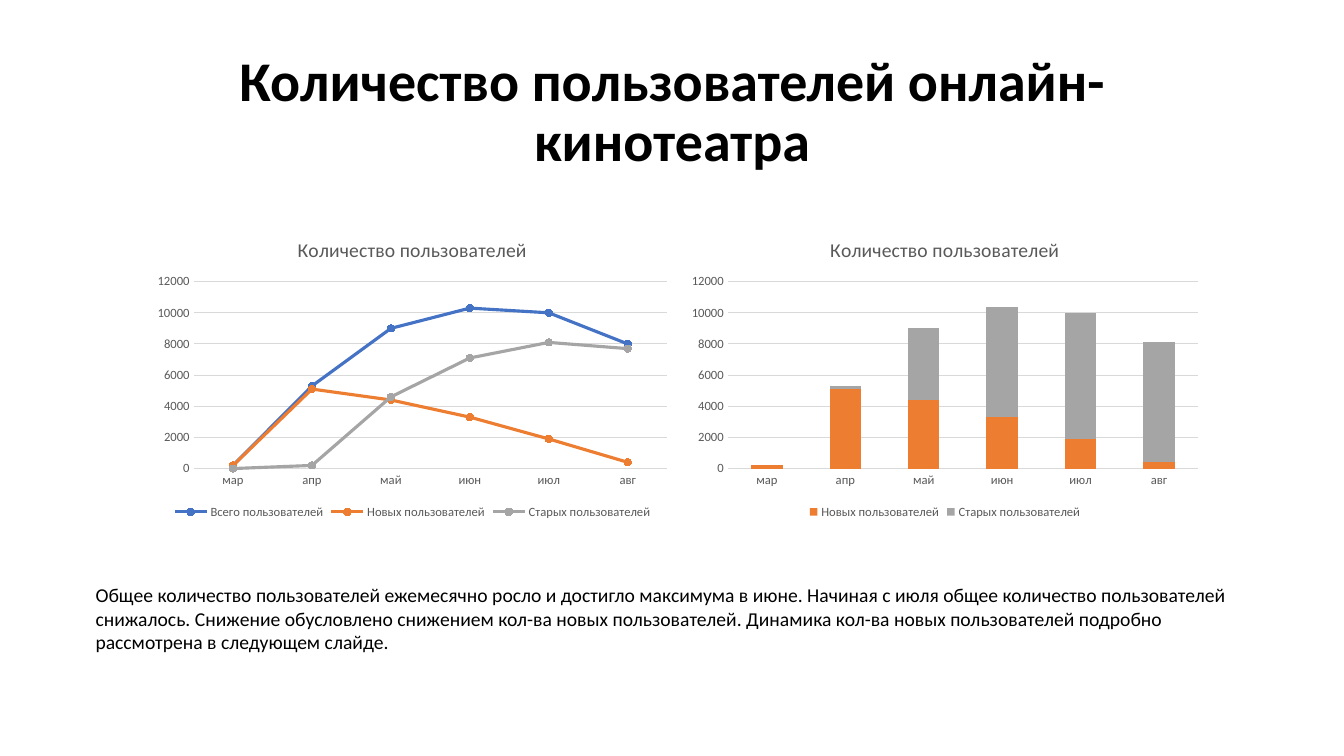
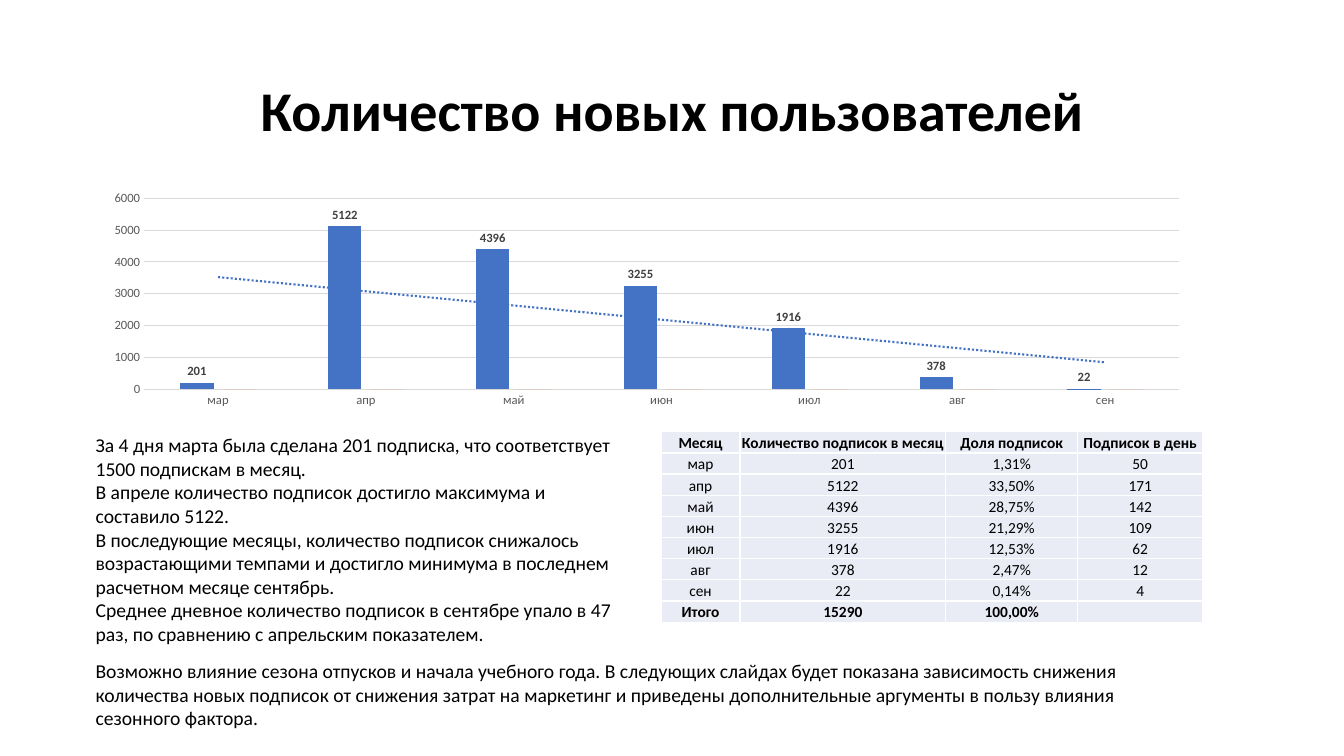
"""Two slides about the audience of an online cinema."""
from dataclasses import dataclass
from typing import Optional, Sequence

from lxml import etree
from pptx import Presentation
from pptx.chart.chart import Chart
from pptx.chart.data import CategoryChartData
from pptx.dml.color import RGBColor
from pptx.enum.chart import (XL_CHART_TYPE, XL_LABEL_POSITION, XL_LEGEND_POSITION,
                             XL_MARKER_STYLE, XL_TICK_MARK)
from pptx.enum.text import MSO_ANCHOR, MSO_AUTO_SIZE, PP_ALIGN
from pptx.oxml.ns import qn
from pptx.slide import Slide
from pptx.table import _Cell
from pptx.text.text import Font
from pptx.util import Emu, Inches, Pt

LINES = XL_CHART_TYPE.LINE_MARKERS
STACKED = XL_CHART_TYPE.COLUMN_STACKED
CLUSTERED = XL_CHART_TYPE.COLUMN_CLUSTERED
LABEL_ABOVE = XL_LABEL_POSITION.OUTSIDE_END
LEGEND_BELOW = XL_LEGEND_POSITION.BOTTOM
CIRCLE = XL_MARKER_STYLE.CIRCLE
NO_TICK = XL_TICK_MARK.NONE
MIDDLE, BOTTOM = MSO_ANCHOR.MIDDLE, MSO_ANCHOR.BOTTOM
NO_FIT, GROW = MSO_AUTO_SIZE.NONE, MSO_AUTO_SIZE.SHAPE_TO_FIT_TEXT
CENTER = PP_ALIGN.CENTER

FONT = "Calibri"
BLACK, WHITE = "000000", "FFFFFF"
BLUE, ORANGE, GRAY = "4472C4", "ED7D31", "A5A5A5"
AXIS_TEXT, LABEL_TEXT, GRID_LINE = "595959", "404040", "D9D9D9"
CELL_FILL = "E9EBF5"
TITLE_SIZE, BODY_SIZE, AXIS_SIZE, TABLE_SIZE = 40, 14, 9, 11

# The slide is a grid of 160 columns by 90 rows.
SLIDE_WIDTH, SLIDE_HEIGHT = Inches(13.33), Inches(7.5)
COLUMNS, ROWS = 160, 90


@dataclass(frozen=True)
class Box:
    """A place on the grid, in columns and rows."""
    left: float
    top: float
    width: float
    height: float

    def lengths(self) -> tuple[Emu, Emu, Emu, Emu]:
        """Return left, top, width and height as lengths."""
        return across(self.left), down(self.top), across(self.width), down(self.height)


@dataclass(frozen=True)
class Series:
    """One data series with its colour."""
    name: str
    values: Sequence[int]
    color: str


@dataclass(frozen=True)
class ChartSpec:
    """Everything that differs between the charts."""
    box: Box
    kind: XL_CHART_TYPE
    months: Sequence[str]
    series: Sequence[Series]
    top_value: int
    step: int
    title: Optional[str] = None
    gap: int = 150
    overlap: int = 100


@dataclass(frozen=True)
class TextSpec:
    """A body text box, one string a paragraph."""
    box: Box
    paragraphs: Sequence[str]


MONTHS = ("мар", "апр", "май", "июн", "июл", "авг", "сен")
TITLE_BOX = Box(11, 4.8, 138, 17.4)
TEXT_LEFT = 10.2

TOTAL_USERS = Series("Всего пользователей", (200, 5300, 9000, 10300, 10000, 8000), BLUE)
NEW_USERS = Series("Новых пользователей", (200, 5100, 4400, 3300, 1900, 400), ORANGE)
OLD_USERS = Series("Старых пользователей", (0, 200, 4600, 7100, 8100, 7700), GRAY)
SUBSCRIPTIONS = Series("Series 1", (201, 5122, 4396, 3255, 1916, 378, 22), BLUE)
EMPTY_SERIES = Series("Series 2", (0,) * len(MONTHS), ORANGE)

USERS_TITLE = "Количество пользователей"
USERS_BY_LINE = ChartSpec(Box(17.5, 26.3, 63.2, 36), LINES, MONTHS[:6],
                          (TOTAL_USERS, NEW_USERS, OLD_USERS), 12000, 2000, USERS_TITLE)
USERS_STACKED = ChartSpec(Box(81.1, 26.3, 62.8, 36), STACKED, MONTHS[:6],
                          (NEW_USERS, OLD_USERS), 12000, 2000, USERS_TITLE)
NEW_BY_MONTH = ChartSpec(Box(11, 22.2, 132, 26.9), CLUSTERED, MONTHS,
                         (SUBSCRIPTIONS, EMPTY_SERIES), 6000, 1000, gap=219, overlap=-27)

USERS_TEXT = TextSpec(Box(TEXT_LEFT, 68.8, 139.8, 9.7), (
    "Общее количество пользователей ежемесячно росло и достигло максимума в июне. "
    "Начиная с июля общее количество пользователей снижалось. Снижение обусловлено "
    "снижением кол-ва новых пользователей. Динамика кол-ва новых пользователей "
    "подробно рассмотрена в следующем слайде.",))
MONTHS_TEXT = TextSpec(Box(TEXT_LEFT, 51, 64.3, 26.6), (
    "За 4 дня марта была сделана 201 подписка, что соответствует 1500 подпискам в месяц.",
    "В апреле количество подписок достигло максимума и составило 5122.",
    "В последующие месяцы, количество подписок снижалось возрастающими темпами и "
    "достигло минимума в последнем расчетном месяце сентябрь.",
    "Среднее дневное количество подписок в сентябре упало в 47 раз, по сравнению с "
    "апрельским показателем."))
SEASON_TEXT = TextSpec(Box(TEXT_LEFT, 77.9, 132.8, 9.7), (
    "Возможно влияние сезона отпусков и начала учебного года. В следующих слайдах "
    "будет показана зависимость снижения количества новых подписок от снижения затрат "
    "на маркетинг и приведены дополнительные аргументы в пользу влияния сезонного "
    "фактора.",))

SHARES = ("1,31%", "33,50%", "28,75%", "21,29%", "12,53%", "2,47%", "0,14%")
PER_DAY = ("50", "171", "142", "109", "62", "12", "4")
TABLE_ROWS = (
    ("Месяц", "Количество подписок в месяц", "Доля подписок", "Подписок в день"),
    *zip(MONTHS, map(str, SUBSCRIPTIONS.values), SHARES, PER_DAY),
    ("Итого", "15290", "100,00%", ""),
)
TABLE_COLUMNS = (9.4, 24.5, 15.7, 14.9)
TABLE_ROW = 2.52
TABLE_BOX = Box(78.7, 51.4, sum(TABLE_COLUMNS), TABLE_ROW * len(TABLE_ROWS))


def across(columns: float) -> Emu:
    """Turn grid columns into a length."""
    return Emu(round(SLIDE_WIDTH * columns / COLUMNS))


def down(rows: float) -> Emu:
    """Turn grid rows into a length."""
    return Emu(round(SLIDE_HEIGHT * rows / ROWS))


def rgb(color: str) -> RGBColor:
    """Turn a hex string into a colour."""
    return RGBColor.from_string(color)


def style_font(font: Font, size: float, color: str = BLACK, bold: bool = False) -> None:
    """Set the face, size, colour and weight of a font."""
    font.name, font.size, font.bold = FONT, Pt(size), bold
    font.color.rgb = rgb(color)


def add_titled_slide(deck: Presentation, title: str) -> Slide:
    """Add a title-only slide and format its title."""
    slide = deck.slides.add_slide(deck.slide_layouts.get_by_name("Title Only"))
    holder = slide.shapes.title
    holder.left, holder.top, holder.width, holder.height = TITLE_BOX.lengths()
    frame = holder.text_frame
    frame.text = title
    frame.auto_size = NO_FIT
    frame.vertical_anchor = MIDDLE
    para = frame.paragraphs[0]
    para.alignment, para.line_spacing = CENTER, 0.9
    style_font(para.runs[0].font, TITLE_SIZE, bold=True)
    return slide


def add_text(slide: Slide, spec: TextSpec) -> None:
    """Add a wrapped body text box."""
    frame = slide.shapes.add_textbox(*spec.box.lengths()).text_frame
    frame.word_wrap = True
    frame.auto_size = GROW
    frame.text = "\n".join(spec.paragraphs)
    for para in frame.paragraphs:
        style_font(para.runs[0].font, BODY_SIZE)


def style_axes(chart: Chart, spec: ChartSpec) -> None:
    """Format both axes, the grid lines and the value scale."""
    for axis in (chart.category_axis, chart.value_axis):
        axis.major_tick_mark = axis.minor_tick_mark = NO_TICK
        style_font(axis.tick_labels.font, AXIS_SIZE, AXIS_TEXT)
    values = chart.value_axis
    values.minimum_scale, values.maximum_scale = 0, spec.top_value
    values.major_unit = spec.step
    values.tick_labels.number_format = "0"
    values.tick_labels.number_format_is_linked = False
    values.format.line.fill.background()
    for line in (values.major_gridlines.format.line, chart.category_axis.format.line):
        line.color.rgb, line.width = rgb(GRID_LINE), Pt(0.75)


def style_series(chart: Chart, spec: ChartSpec) -> None:
    """Colour every series as a line with markers or as columns."""
    plot = chart.plots[0]
    plot.vary_by_categories = False
    if spec.kind != LINES:
        plot.gap_width, plot.overlap = spec.gap, spec.overlap
    for drawn, series in zip(plot.series, spec.series):
        if spec.kind != LINES:
            drawn.format.fill.solid()
            drawn.format.fill.fore_color.rgb = rgb(series.color)
            continue
        drawn.smooth = False
        drawn.format.line.color.rgb = rgb(series.color)
        drawn.format.line.width = Pt(2.25)
        marker = drawn.marker
        marker.style, marker.size = CIRCLE, 5
        marker.format.fill.solid()
        marker.format.fill.fore_color.rgb = rgb(series.color)
        marker.format.line.color.rgb = rgb(series.color)


def add_chart(slide: Slide, spec: ChartSpec) -> Chart:
    """Add a chart; a titled one also gets a legend."""
    data = CategoryChartData()
    data.categories = spec.months
    for series in spec.series:
        data.add_series(series.name, series.values)
    chart = slide.shapes.add_chart(spec.kind, *spec.box.lengths(), data).chart
    style_font(chart.font, 10)
    chart.has_title = chart.has_legend = spec.title is not None
    if spec.title:
        frame = chart.chart_title.text_frame
        frame.text = spec.title
        style_font(frame.paragraphs[0].runs[0].font, BODY_SIZE, AXIS_TEXT)
        chart.chart_title.include_in_layout = False
        chart.legend.position = LEGEND_BELOW
        chart.legend.include_in_layout = False
        style_font(chart.legend.font, AXIS_SIZE, AXIS_TEXT)
    style_axes(chart, spec)
    style_series(chart, spec)
    return chart


def add_solid_line(parent: etree._Element, tag: str, color: str, width: float) -> etree._Element:
    """Append a line element of one colour."""
    line = etree.SubElement(parent, qn(tag), w=str(Pt(width)))
    fill = etree.SubElement(line, qn("a:solidFill"))
    etree.SubElement(fill, qn("a:srgbClr"), val=color)
    return line


def add_labels_and_trend(chart: Chart, color: str) -> None:
    """Give the first series value labels and a dotted linear trend."""
    series = chart.plots[0].series[0]
    labels = series.data_labels
    labels.show_value, labels.position = True, LABEL_ABOVE
    style_font(labels.font, AXIS_SIZE, LABEL_TEXT, bold=True)
    trend = etree.Element(qn("c:trendline"))
    shape = etree.SubElement(trend, qn("c:spPr"))
    line = add_solid_line(shape, "a:ln", color, 1.5)
    etree.SubElement(line, qn("a:prstDash"), val="sysDot")
    etree.SubElement(trend, qn("c:trendlineType"), val="linear")
    for tag in ("c:dispRSqr", "c:dispEq"):
        etree.SubElement(trend, qn(tag), val="0")
    series._element.find(qn("c:cat")).addprevious(trend)


def fill_cell(cell: _Cell, text: str, anchor: MSO_ANCHOR, bold: bool) -> None:
    """Write and format one table cell with white borders."""
    cell.text = text
    cell.vertical_anchor = anchor
    cell.margin_left = cell.margin_right = cell.margin_top = Inches(0.01)
    cell.margin_bottom = 0
    para = cell.text_frame.paragraphs[0]
    para.alignment = CENTER
    for span in para.runs:
        style_font(span.font, TABLE_SIZE, bold=bold)
    if not text:
        etree.SubElement(para._p, qn("a:endParaRPr"), sz=str(TABLE_SIZE * 100))
    properties = cell._tc.get_or_add_tcPr()
    for side in "LRTB":
        add_solid_line(properties, f"a:ln{side}", WHITE, 1)
    cell.fill.solid()
    cell.fill.fore_color.rgb = rgb(CELL_FILL)


def add_subscription_table(slide: Slide) -> None:
    """Add the table of subscriptions by month."""
    table = slide.shapes.add_table(len(TABLE_ROWS), len(TABLE_COLUMNS),
                                   *TABLE_BOX.lengths()).table
    for column, width in zip(table.columns, TABLE_COLUMNS):
        column.width = across(width)
    last = len(TABLE_ROWS) - 1
    for index, texts in enumerate(TABLE_ROWS):
        table.rows[index].height = down(TABLE_ROW)
        for cell, text in zip(table.rows[index].cells, texts):
            fill_cell(cell, text, BOTTOM if index else MIDDLE, index in (0, last))


def build_deck() -> None:
    """Build both slides and save the deck."""
    deck = Presentation()
    deck.slide_width, deck.slide_height = SLIDE_WIDTH, SLIDE_HEIGHT

    users = add_titled_slide(deck, "Количество пользователей онлайн-кинотеатра")
    add_text(users, USERS_TEXT)
    add_chart(users, USERS_BY_LINE)
    add_chart(users, USERS_STACKED)

    newcomers = add_titled_slide(deck, "Количество новых пользователей")
    add_subscription_table(newcomers)
    add_labels_and_trend(add_chart(newcomers, NEW_BY_MONTH), BLUE)
    add_text(newcomers, MONTHS_TEXT)
    add_text(newcomers, SEASON_TEXT)
    deck.save("out.pptx")


build_deck()
